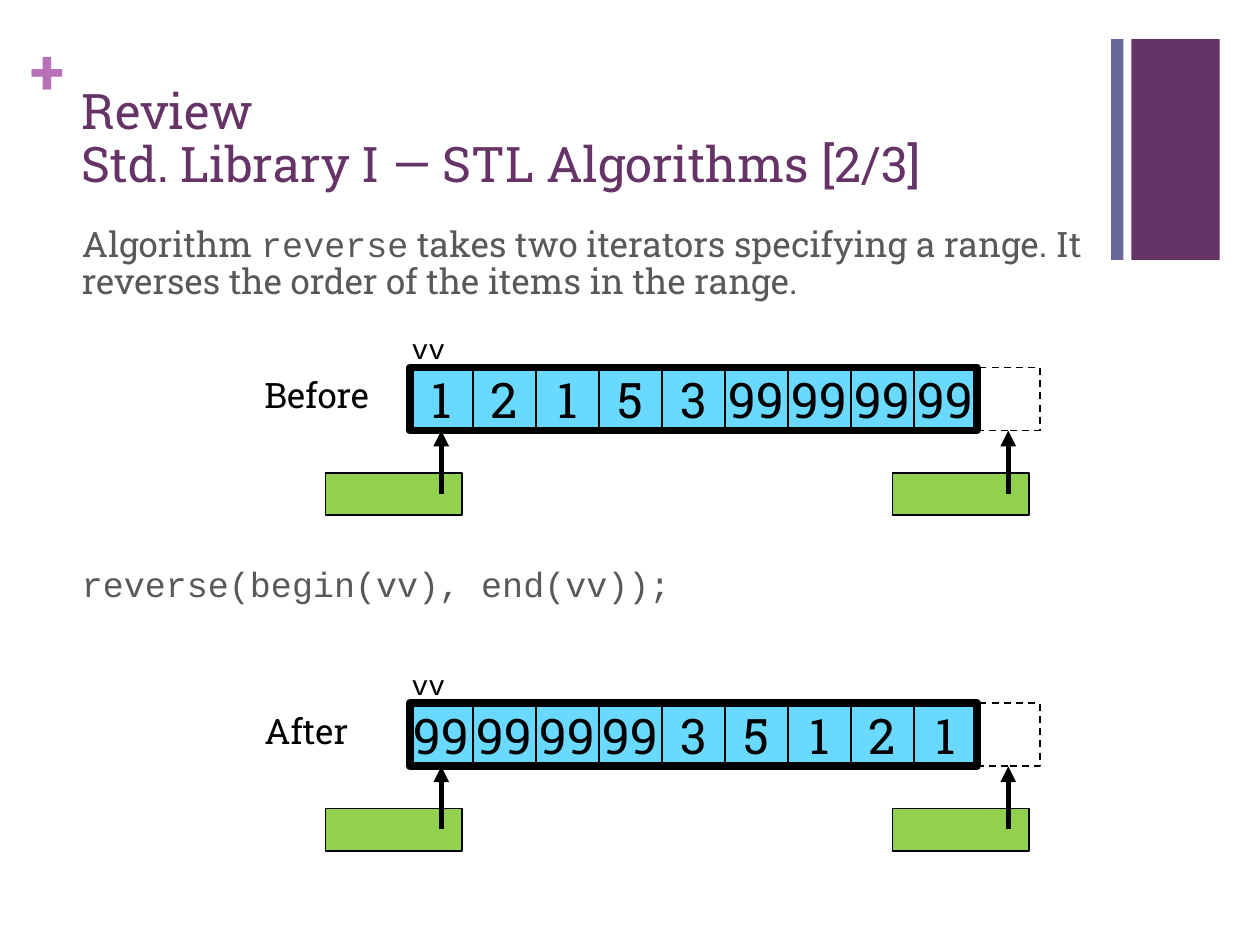
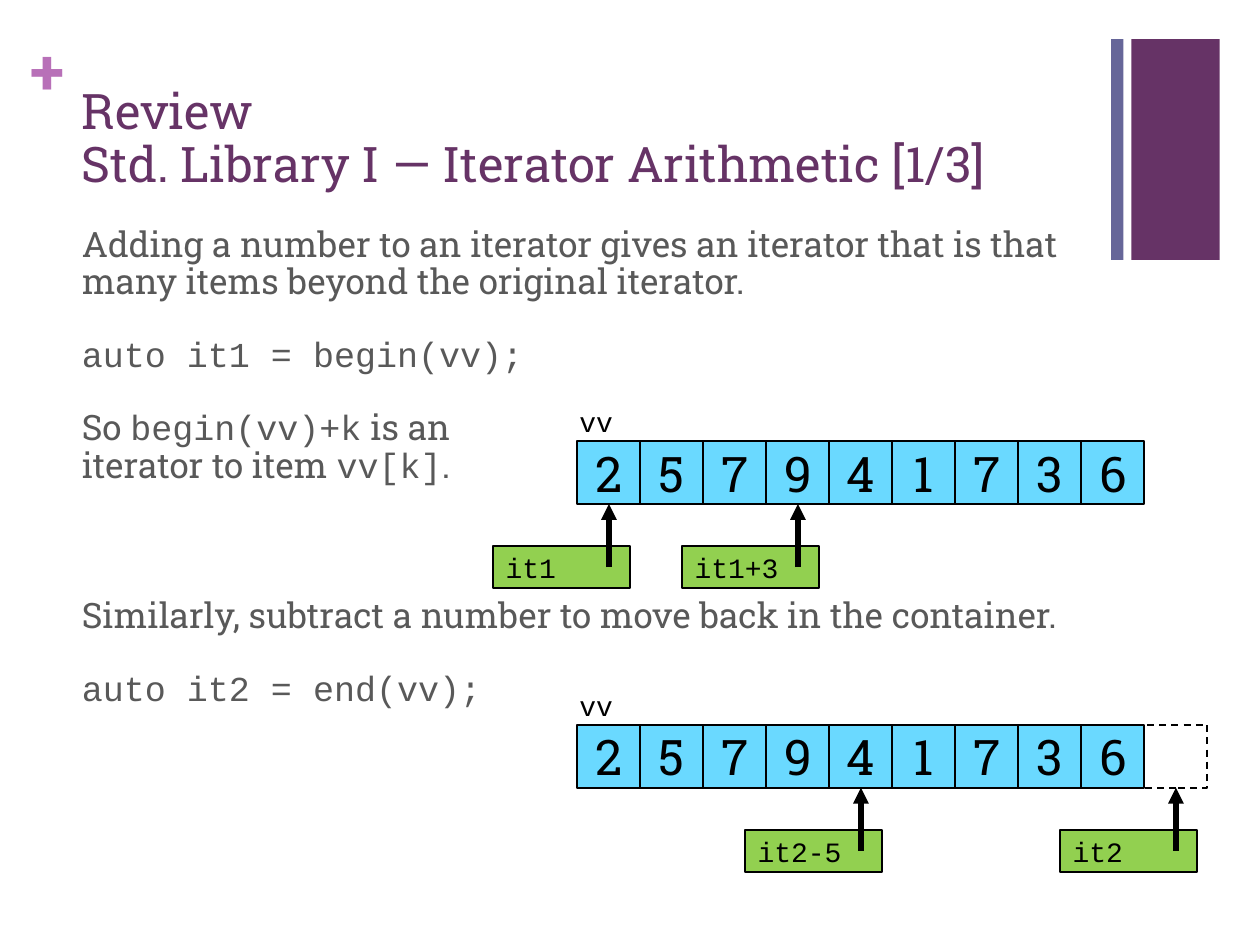
from lxml import etree
from pptx import Presentation
from pptx.dml.color import RGBColor
from pptx.enum.dml import MSO_LINE
from pptx.enum.shapes import MSO_CONNECTOR, MSO_SHAPE
from pptx.enum.text import MSO_ANCHOR, PP_ALIGN
from pptx.oxml.ns import qn
from pptx.util import Cm, Pt

RECT = MSO_SHAPE.RECTANGLE
STRAIGHT = MSO_CONNECTOR.STRAIGHT
DASH = MSO_LINE.DASH
TOP, MIDDLE, BOTTOM = MSO_ANCHOR.TOP, MSO_ANCHOR.MIDDLE, MSO_ANCHOR.BOTTOM
LEFT, CENTER = PP_ALIGN.LEFT, PP_ALIGN.CENTER

PLUM = RGBColor(0x66, 0x33, 0x66)
SLATE = RGBColor(0x66, 0x66, 0x99)
ORCHID = RGBColor(0xB8, 0x70, 0xB8)
GRAY = RGBColor(0x59, 0x59, 0x59)
BLACK = RGBColor(0, 0, 0)
SKY = RGBColor(0x6A, 0xD9, 0xFF)
GREEN = RGBColor(0x92, 0xD0, 0x50)

SLAB, MONO = "Roboto Slab", "Courier New"
CELL = 1.27

TITLE = {"size": Pt(28), "color": PLUM}
BODY = {"size": Pt(20), "color": GRAY}
PLUS = {"size": Pt(36), "color": ORCHID, "bold": True}
DIGIT = {"size": Pt(28), "color": BLACK}
CODE = {"size": Pt(16), "color": BLACK}
STATE = {"size": Pt(20), "color": BLACK}


def style(font, form):
    for key, value in form.items():
        if key == "color":
            font.color.rgb = value
        else:
            setattr(font, key, value)


def write(para, text, form):
    """Fill a paragraph; parts between backticks are set in the code font."""
    for n, part in enumerate(text.split("`")):
        for k, line in enumerate(part.split("\n")):
            if k:
                para.add_line_break()
            if line:
                run = para.add_run()
                run.text = line
                style(run.font, {**form, "name": MONO if n % 2 else SLAB})


def fill_frame(frame, paras, form, anchor=TOP, align=LEFT, pad=None, lead=None):
    """Write (text, space before) pairs into a text frame."""
    frame.word_wrap = True
    frame.vertical_anchor = anchor
    if pad is not None:
        for side in ("left", "top", "right", "bottom"):
            setattr(frame, f"margin_{side}", Cm(pad))
    for n, (text, space) in enumerate(paras):
        para = frame.add_paragraph() if n else frame.paragraphs[0]
        para.alignment = align
        para.space_before = Pt(space)
        if lead:
            para.line_spacing = lead
        write(para, text, form)


def add_text(slide, box, paras, form, **opts):
    area = slide.shapes.add_textbox(*map(Cm, box))
    fill_frame(area.text_frame, paras, form, **opts)


def add_rect(slide, box, fill=None, line=None, dash=None):
    rect = slide.shapes.add_shape(RECT, *map(Cm, box))
    rect.shadow.inherit = False
    if fill is None:
        rect.fill.background()
    else:
        rect.fill.solid()
        rect.fill.fore_color.rgb = fill
    if line is None:
        rect.line.fill.background()
    else:
        rect.line.color.rgb = BLACK
        rect.line.width = Pt(line)
        if dash:
            rect.line.dash_style = dash
    return rect


def add_arrow(slide, x, start, end):
    arrow = slide.shapes.add_connector(STRAIGHT, Cm(x), Cm(start), Cm(x), Cm(end))
    arrow.line.color.rgb = BLACK
    arrow.line.width = Pt(3)
    etree.SubElement(arrow.line._get_or_add_ln(), qn("a:tailEnd"), type="triangle")
    etree.SubElement(arrow._element.spPr, qn("a:effectLst"))


def add_base(prs, title, paras):
    """Start a slide with the shared bands, title and body text."""
    slide = prs.slides.add_slide(prs.slide_layouts[6])
    add_rect(slide, (22.81, 0.79, 1.78, 4.45), PLUM)
    add_rect(slide, (22.4, 0.79, 0.25, 4.45), SLATE)
    add_text(slide, (0.61, 0.64, 0.74, 1.55), [("+", 0)], PLUS, pad=0)
    add_text(slide, (1.4, 1.35, 20.98, 2.67), [(f"Review\n{title}", 0)],
             TITLE, anchor=BOTTOM, lead=0.9)
    add_text(slide, (1.4, 4.45, 20.98, 13.13), paras, BODY, lead=0.9)
    return slide


def add_pointer(slide, left, top, slot, name):
    """Place an iterator box under a slot of the row, with its arrow."""
    x = left + (slot + 0.5) * CELL
    tag = add_rect(slide, (x - 2.33, top + 2.12, 2.75, 0.85), GREEN, 1)
    if name:
        fill_frame(tag.text_frame, [(f"`{name}`", 0)], CODE, anchor=MIDDLE)
    add_arrow(slide, x, top + 2 * CELL, top + CELL)


def add_row(slide, left, top, items, marks, past=False, frame=False):
    """Draw the container vv; marks maps slots to iterator names."""
    if past:
        add_rect(slide, (left + len(items) * CELL, top, CELL, CELL),
                 line=1, dash=DASH)
    for n, item in enumerate(items):
        cell = add_rect(slide, (left + n * CELL, top, CELL, CELL), SKY, 1)
        fill_frame(cell.text_frame, [(str(item), 0)], DIGIT,
                   anchor=MIDDLE, align=CENTER, pad=0)
    for slot, name in marks.items():
        add_pointer(slide, left, top, slot, name)
    add_text(slide, (left - 0.21, top - 0.85, 6.35, 0.94), [("`vv`", 0)], CODE)
    if frame:
        add_rect(slide, (left, top, len(items) * CELL, CELL), line=4.5)


def add_reverse(prs):
    slide = add_base(prs, "Std. Library I — STL Algorithms [2/3]", [
        ("Algorithm `reverse` takes two iterators specifying a range. "
         "It reverses the order of the items in the range.", 0),
        ("`reverse(begin(vv), end(vv));`", 151),
    ])
    items = [1, 2, 1, 5, 3, 99, 99, 99, 99]
    for state, top, row in (("Before", 7.41, items), ("After", 14.18, items[::-1])):
        add_text(slide, (5.08, top, 3.61, 1.11), [(state, 0)], STATE)
        add_row(slide, 8.26, top, row, {0: "", 9: ""}, past=True, frame=True)


def add_maths(prs):
    slide = add_base(prs, "Std. Library I — Iterator Arithmetic [1/3]", [
        ("Adding a number to an iterator gives an iterator that is that "
         "many items beyond the original iterator.", 0),
        ("`auto it1 = begin(vv);`", 20),
        ("So `begin(vv)+k` is an\niterator to item `vv[k]`.", 20),
        ("Similarly, subtract a number to move back in the container.", 64),
        ("`auto it2 = end(vv);`", 20),
    ])
    items = [2, 5, 7, 9, 4, 1, 7, 3, 6]
    add_row(slide, 11.64, 8.89, items, {0: "it1", 3: "it1+3"})
    add_row(slide, 11.64, 14.61, items, {4: "it2-5", 9: "it2"}, past=True)


def main():
    prs = Presentation()
    prs.slide_width, prs.slide_height = Cm(25.4), Cm(19.05)
    add_reverse(prs)
    add_maths(prs)
    prs.save("out.pptx")


if __name__ == "__main__":
    main()
